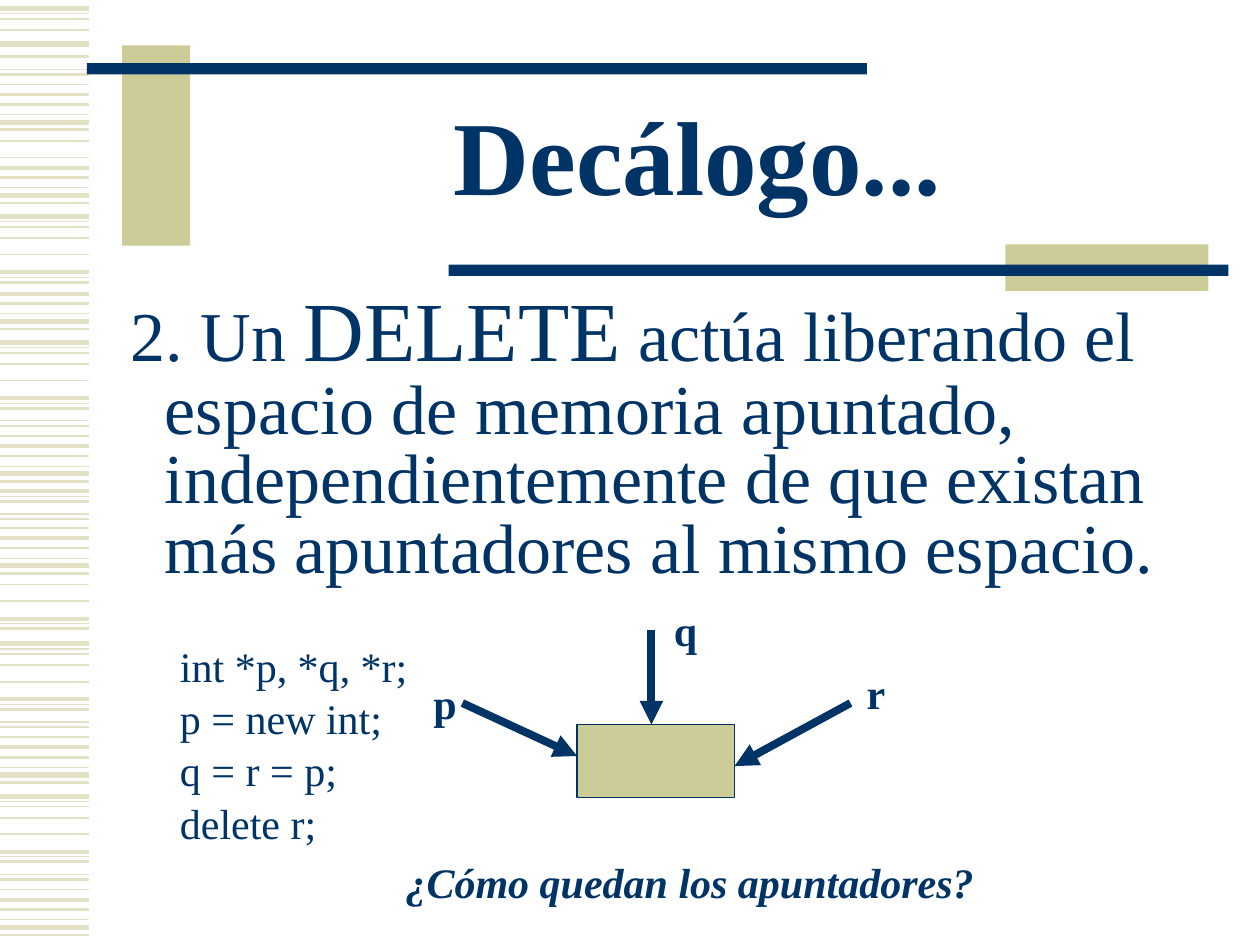
from dataclasses import dataclass
from lxml import etree
from pptx import Presentation
from pptx.dml.color import RGBColor
from pptx.enum import shapes, text
from pptx.oxml.ns import qn
from pptx.util import Inches, Pt

NAVY, SAND, PALE = "003366", "CCCC99", "E3E2C7"
FONT = "Times New Roman"
COLS, ROWS = 10, 7.5
WIDE, HIGH = Inches(10), Inches(7.5)


@dataclass
class Box:
    x: float
    y: float
    w: float
    h: float


@dataclass
class Run:
    words: str
    size: float
    bold: bool = False
    slant: bool = False


@dataclass
class Stripe:
    step: float
    width: float


@dataclass
class Band:
    top: float
    first: int = 0
    last: int = 10


@dataclass
class Arrow:
    x: float
    y: float
    to_x: float
    to_y: float


def col(n: float) -> int:
    return round(WIDE * n / COLS)


def row(n: float) -> int:
    return round(HIGH * n / ROWS)


def hue(code: str) -> RGBColor:
    return RGBColor.from_string(code)


def rect(slide, box: Box, fill: str, edge: str = "") -> None:
    item = slide.shapes.add_shape(shapes.MSO_SHAPE.RECTANGLE, col(box.x), row(box.y),
                                  col(box.w), row(box.h))
    item.shadow.inherit = False
    item.fill.solid()
    item.fill.fore_color.rgb = hue(fill)
    if edge:
        item.line.color.rgb = hue(edge)
        item.line.width = Pt(1)
    else:
        item.line.fill.background()


def line(slide, way: Arrow, color: str, width: float, head: bool = False) -> None:
    item = slide.shapes.add_connector(shapes.MSO_CONNECTOR.STRAIGHT, col(way.x), row(way.y),
                                      col(way.to_x), row(way.to_y))
    item.line.color.rgb = hue(color)
    item.line.width = Pt(width)
    if head:
        etree.SubElement(item.line._get_or_add_ln(), qn("a:tailEnd"), type="triangle")
    etree.SubElement(item._element.spPr, qn("a:effectLst"))


def frame(slide, box: Box, wrap: bool = False):
    area = slide.shapes.add_textbox(col(box.x), row(box.y), col(box.w), row(box.h)).text_frame
    area.word_wrap = wrap
    return area


def write(para, runs: list[Run]) -> None:
    for part in runs:
        run = para.add_run()
        run.text = part.words
        font = run.font
        font.name = FONT
        font.size = Pt(part.size)
        font.bold = part.bold
        font.italic = part.slant
        font.color.rgb = hue(NAVY)


def indent(para, left: float, first: float) -> None:
    props = para._p.get_or_add_pPr()
    props.set("marL", str(col(left)))
    props.set("indent", str(col(first)))


LOW = [Stripe(-0.24, 1), Stripe(-0.16, 2.25), Stripe(-0.08, 1.5),
       Stripe(0, 0.75), Stripe(0.06, 3), Stripe(0.12, 1.5)]
TALL = [Stripe(0, 3), Stripe(0.04, 0.75), Stripe(0.08, 1), Stripe(0.17, 1), Stripe(0.3, 1),
        Stripe(0.44, 2.25), Stripe(0.48, 0.75), Stripe(0.52, 1.5), Stripe(0.62, 0.75),
        Stripe(0.66, 1.5)]
EDGE = [
    (LOW, [Band(7.3), Band(6.09), Band(4.43), Band(3.7), Band(2.49, 1), Band(1.49), Band(0.91)]),
    (TALL, [Band(6.32), Band(5.11), Band(4.47, 3, 8), Band(3.46, 5), Band(2.72),
            Band(1.72, 0, 8), Band(-0.07, 7), Band(0.07, 0, 4)]),
    ([Stripe(0, 1)], [Band(1.12)]),
    ([Stripe(0, 3)], [Band(0.35)]),
]
BARS = [
    (Box(0.97, 0.36, 0.54, 1.59), SAND),
    (Box(0.69, 0.5, 6.19, 0.09), NAVY),
    (Box(7.98, 1.94, 1.61, 0.37), SAND),
    (Box(3.56, 2.1, 6.19, 0.09), NAVY),
]
ARROWS = [Arrow(3.67, 5.58, 4.58, 6), Arrow(5.17, 5, 5.17, 5.75), Arrow(6.75, 5.58, 5.83, 6.08)]
LABELS = [
    (Box(3.34, 5.33, 0.38, 0.5), Run("p", 24, True)),
    (Box(5.25, 4.75, 0.38, 0.5), Run("q", 24, True)),
    (Box(6.78, 5.25, 0.35, 0.5), Run("r", 24, True)),
    (Box(3.12, 6.75, 4.71, 0.5), Run("¿Cómo quedan los apuntadores?", 24, True, True)),
]
RULE = [
    Run("2. Un ", 40),
    Run("DELETE", 48),
    Run(" actúa liberando el espacio de memoria apuntado, independientemente de que "
        "existan más apuntadores al mismo espacio.", 40),
]
CODE = ["int *p, *q, *r;", "p = new int;", "q = r = p;", "delete r;"]


def main() -> None:
    deck = Presentation()
    deck.slide_width, deck.slide_height = WIDE, HIGH
    slide = deck.slides.add_slide(deck.slide_layouts[6])

    for kind, bands in EDGE:
        for band in bands:
            for mark in kind[band.first:band.last]:
                y = band.top + mark.step
                line(slide, Arrow(0, y, 0.71, y), PALE, mark.width)
    for box, fill in BARS:
        rect(slide, box, fill)

    title = frame(slide, Box(1.5, 0.67, 8.07, 1.25), True)
    title.vertical_anchor = text.MSO_ANCHOR.MIDDLE
    para = title.paragraphs[0]
    para.alignment = text.PP_ALIGN.CENTER
    para.line_spacing = 0.85
    write(para, [Run("Decálogo...", 60, True)])

    body = frame(slide, Box(0.83, 2.29, 8.92, 4.42), True)
    para = body.paragraphs[0]
    indent(para, 0.38, -0.27)
    para.line_spacing = 0.83
    write(para, RULE)
    for n, words in enumerate(CODE):
        para = body.add_paragraph()
        indent(para, 0.81, -0.31)
        para.line_spacing = 0.83
        para.space_before = Pt(6 if n else 35)
        write(para, [Run(words, 24)])

    rect(slide, Box(4.58, 5.75, 1.25, 0.58), SAND, NAVY)
    for way in ARROWS:
        line(slide, way, NAVY, 4.5, True)
    for box, run in LABELS:
        write(frame(slide, box).paragraphs[0], [run])

    deck.save("out.pptx")


if __name__ == "__main__":
    main()
